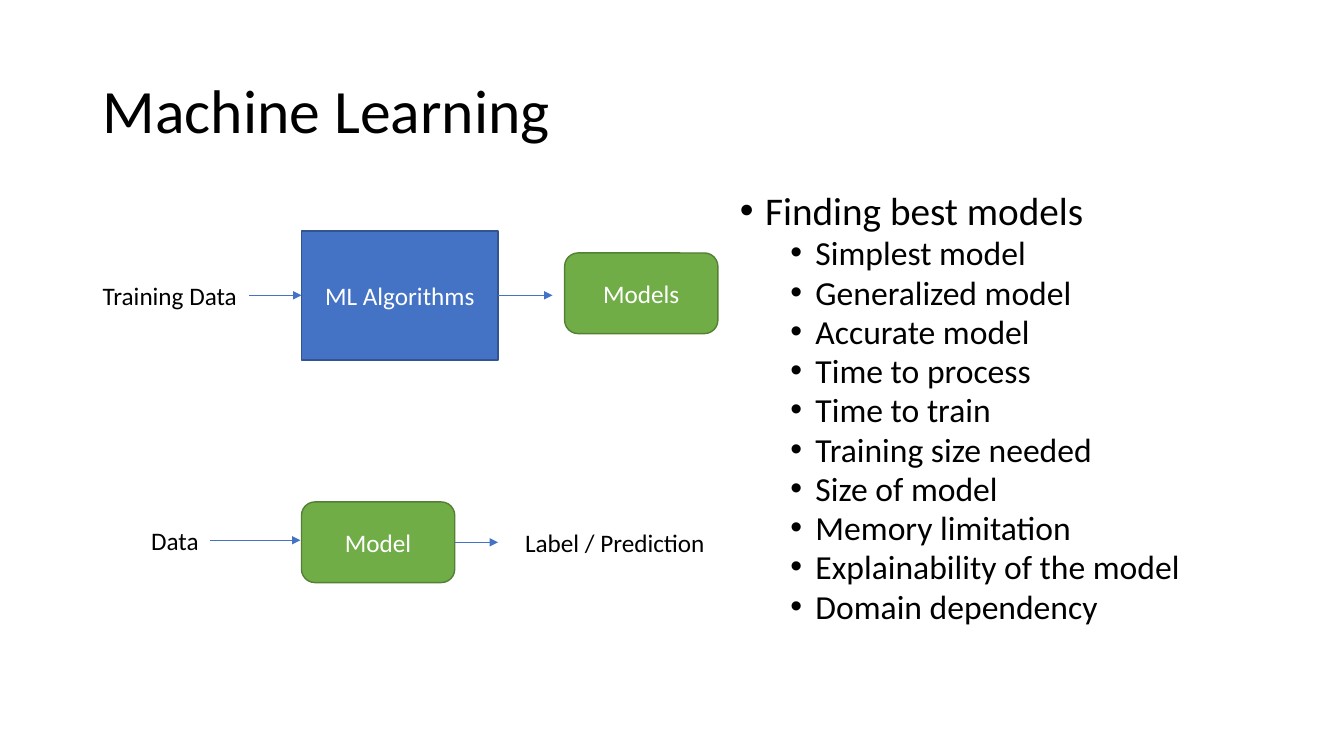
from dataclasses import dataclass
from typing import Optional

from lxml.etree import SubElement
from pptx import Presentation
from pptx.dml.color import RGBColor
from pptx.enum.shapes import MSO_CONNECTOR as Conn, MSO_SHAPE as Kind
from pptx.enum.text import MSO_ANCHOR as Anchor, MSO_AUTO_SIZE as Auto, PP_ALIGN as Align
from pptx.oxml.ns import qn
from pptx.util import Emu, Pt

FONT = "Calibri"
BLACK, WHITE = "000000", "FFFFFF"
BLUE, NAVY = "4472C4", "325491"
GREEN, MOSS = "70AD47", "538035"
LEFT, RIGHT = 1, 3  # connection sites


@dataclass
class Box:
    key: str
    text: str
    x: int
    y: int
    w: int
    h: int
    kind: Kind
    fill: str
    line: str


@dataclass
class Label:
    key: str
    text: str
    x: int
    y: int
    w: int
    h: int = 40


@dataclass
class Arrow:
    start: str
    x1: int
    x2: int
    y: int
    end: Optional[str] = None


BOXES = [
    Box("algo", "ML Algorithms", 299, 229, 195, 128, Kind.RECTANGLE, BLUE, NAVY),
    Box("models", "Models", 560, 251, 152, 80, Kind.ROUNDED_RECTANGLE, GREEN, MOSS),
    Box("model", "Model", 299, 498, 152, 80, Kind.ROUNDED_RECTANGLE, GREEN, MOSS),
]
LABELS = [
    Label("train", "Training Data", 92, 273, 155),
    Label("data", "Data", 140, 516, 68),
    Label("result", "Label / Prediction", 511, 518, 207),
]
ARROWS = [
    Arrow("train", 247, 299, 293, "algo"),
    Arrow("algo", 494, 548, 293),
    Arrow("data", 208, 298, 536),
    Arrow("model", 451, 494, 538),
]
HEAD = "Finding best models"
GOALS = [
    "Simplest model", "Generalized model", "Accurate model", "Time to process",
    "Time to train", "Training size needed", "Size of model",
    "Memory limitation", "Explainability of the model", "Domain dependency",
]


def px(n: int) -> Emu:
    """One px is a hundredth of an inch."""
    return Emu(n * 9144)


def rgb(code: str) -> RGBColor:
    return RGBColor.from_string(code)


def add_run(para, text: str, size: int, color: str = BLACK) -> None:
    run = para.add_run()
    run.text = text
    run.font.name = FONT
    run.font.size = Pt(size)
    run.font.color.rgb = rgb(color)


def add_text(x: int, y: int, w: int, h: int):
    area = slide.shapes.add_textbox(px(x), px(y), px(w), px(h))
    area.text_frame.word_wrap = True
    return area


def add_item(para, text: str, level: int) -> None:
    para.level = level
    para.line_spacing = 0.8
    para.space_before = Pt(5 if level else 10)
    props = para._p.get_or_add_pPr()
    props.set("marL", str(px(75 if level else 25)))
    props.set("indent", str(px(-25)))
    SubElement(props, qn("a:buFont"), typeface="Arial")
    SubElement(props, qn("a:buChar"), char="•")
    add_run(para, text, 24 if level else 28)


def add_box(box: Box):
    shape = slide.shapes.add_shape(box.kind, px(box.x), px(box.y), px(box.w), px(box.h))
    shape.shadow.inherit = False
    shape.fill.solid()
    shape.fill.fore_color.rgb = rgb(box.fill)
    shape.line.color.rgb = rgb(box.line)
    shape.line.width = Pt(1)
    frame = shape.text_frame
    frame.vertical_anchor = Anchor.MIDDLE
    para = frame.paragraphs[0]
    para.alignment = Align.CENTER
    add_run(para, box.text, 18, WHITE)
    return shape


def add_label(label: Label):
    area = add_text(label.x, label.y, label.w, label.h)
    area.text_frame.word_wrap = False
    area.text_frame.auto_size = Auto.SHAPE_TO_FIT_TEXT
    add_run(area.text_frame.paragraphs[0], label.text, 18)
    return area


def add_arrow(arrow: Arrow) -> None:
    link = slide.shapes.add_connector(
        Conn.STRAIGHT, px(arrow.x1), px(arrow.y), px(arrow.x2), px(arrow.y))
    link.begin_connect(parts[arrow.start], RIGHT)
    if arrow.end:
        link.end_connect(parts[arrow.end], LEFT)
    link.line.color.rgb = rgb(BLUE)
    link.line.width = Pt(0.5)
    SubElement(link.line._get_or_add_ln(), qn("a:tailEnd"), type="triangle")
    SubElement(link._element.spPr, qn("a:effectLst"))


deck = Presentation()
deck.slide_width, deck.slide_height = px(1333), px(750)
slide = deck.slides.add_slide(deck.slide_layouts[6])

# Title
title = add_text(92, 40, 1150, 145).text_frame
title.vertical_anchor = Anchor.MIDDLE
title.paragraphs[0].line_spacing = 0.9
add_run(title.paragraphs[0], "Machine Learning", 44)

# Goals list
body = add_text(724, 189, 567, 476).text_frame
add_item(body.paragraphs[0], HEAD, 0)
for goal in GOALS:
    add_item(body.add_paragraph(), goal, 1)

# Training and prediction flows
parts = {box.key: add_box(box) for box in BOXES}
parts.update({label.key: add_label(label) for label in LABELS})
for arrow in ARROWS:
    add_arrow(arrow)

deck.save("out.pptx")
